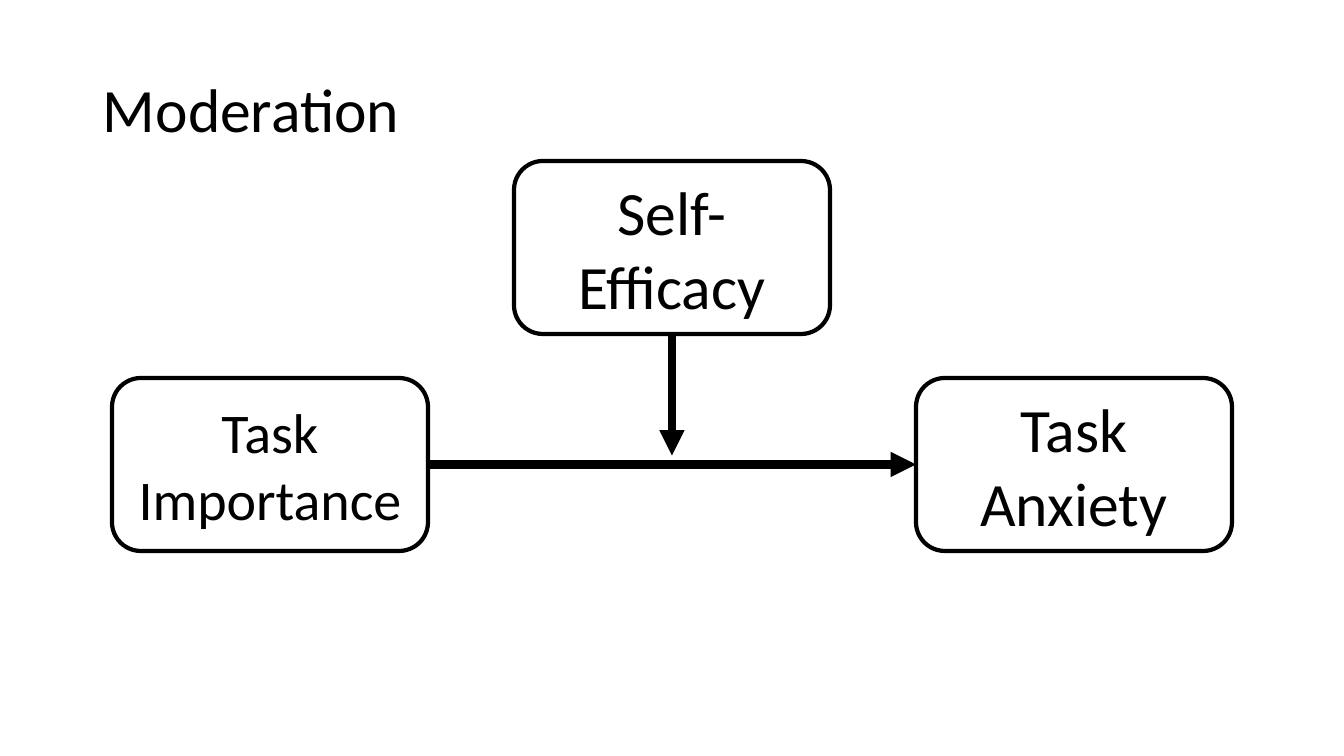
from lxml import etree
from pptx import Presentation
from pptx.dml.color import RGBColor
from pptx.enum import shapes, text
from pptx.oxml.ns import qn
from pptx.util import Pt

SLIDE_W, SLIDE_H = 1344, 756
EMU_PER_PX = 12192000 / SLIDE_W
COLORS = {"ink": "000000", "paper": "FFFFFF"}
FONT = "Calibri"

TITLE = ("Moderation", 44)
TITLE_AREA = (93, 40, 1159, 146)
BOX_W, BOX_H = 316, 173
MARGIN = 112
MODERATOR_Y, PATH_Y = 161, 378
ARROW_GAP = 9  # between the moderator arrowhead and the path

VARIABLES = {
    "predictor": ("Task Importance", 40, MARGIN, PATH_Y),
    "outcome": ("Task Anxiety", 44, SLIDE_W - MARGIN - BOX_W, PATH_Y),
    "moderator": ("Self-Efficacy", 44, (SLIDE_W - BOX_W) // 2, MODERATOR_Y),
}


def px(n):
    return round(n * EMU_PER_PX)


def color(name):
    return RGBColor.from_string(COLORS[name])


def write(shape, words, size, align):
    tf = shape.text_frame
    tf.word_wrap = True
    tf.vertical_anchor = text.MSO_ANCHOR.MIDDLE
    p = tf.paragraphs[0]
    p.text = words
    p.alignment = align
    p.font.name, p.font.size = FONT, Pt(size)
    p.font.color.rgb = color("ink")
    return p


def add_variable(s, words, size, x, y):
    box = s.shapes.add_shape(shapes.MSO_SHAPE.ROUNDED_RECTANGLE,
                             px(x), px(y), px(BOX_W), px(BOX_H))
    box.shadow.inherit = False
    box.fill.background()
    box.line.color.rgb = color("ink")
    box.line.width = Pt(3)
    write(box, words, size, text.PP_ALIGN.CENTER)
    return box


def add_arrow(s, x1, y1, x2, y2):
    arrow = s.shapes.add_connector(shapes.MSO_CONNECTOR.STRAIGHT,
                                   px(x1), px(y1), px(x2), px(y2))
    arrow.line.color.rgb = color("ink")
    arrow.line.width = Pt(6)
    etree.SubElement(arrow.line._get_or_add_ln(), qn("a:tailEnd"), type="triangle")
    etree.SubElement(arrow._element.spPr, qn("a:effectLst"))
    return arrow


def main():
    prs = Presentation()
    prs.slide_width, prs.slide_height = px(SLIDE_W), px(SLIDE_H)
    s = prs.slides.add_slide(prs.slide_layouts[6])
    s.background.fill.solid()
    s.background.fill.fore_color.rgb = color("paper")

    title = s.shapes.add_textbox(*map(px, TITLE_AREA))
    write(title, *TITLE, text.PP_ALIGN.LEFT).line_spacing = 0.9

    boxes = {name: add_variable(s, *v) for name, v in VARIABLES.items()}

    mid_y = PATH_Y + BOX_H / 2
    path = add_arrow(s, MARGIN + BOX_W, mid_y, SLIDE_W - MARGIN - BOX_W, mid_y)
    path.begin_connect(boxes["predictor"], 3)
    path.end_connect(boxes["outcome"], 1)

    mid_x = SLIDE_W / 2
    effect = add_arrow(s, mid_x, MODERATOR_Y + BOX_H, mid_x, mid_y - ARROW_GAP)
    effect.begin_connect(boxes["moderator"], 2)

    prs.save("out.pptx")


if __name__ == "__main__":
    main()
